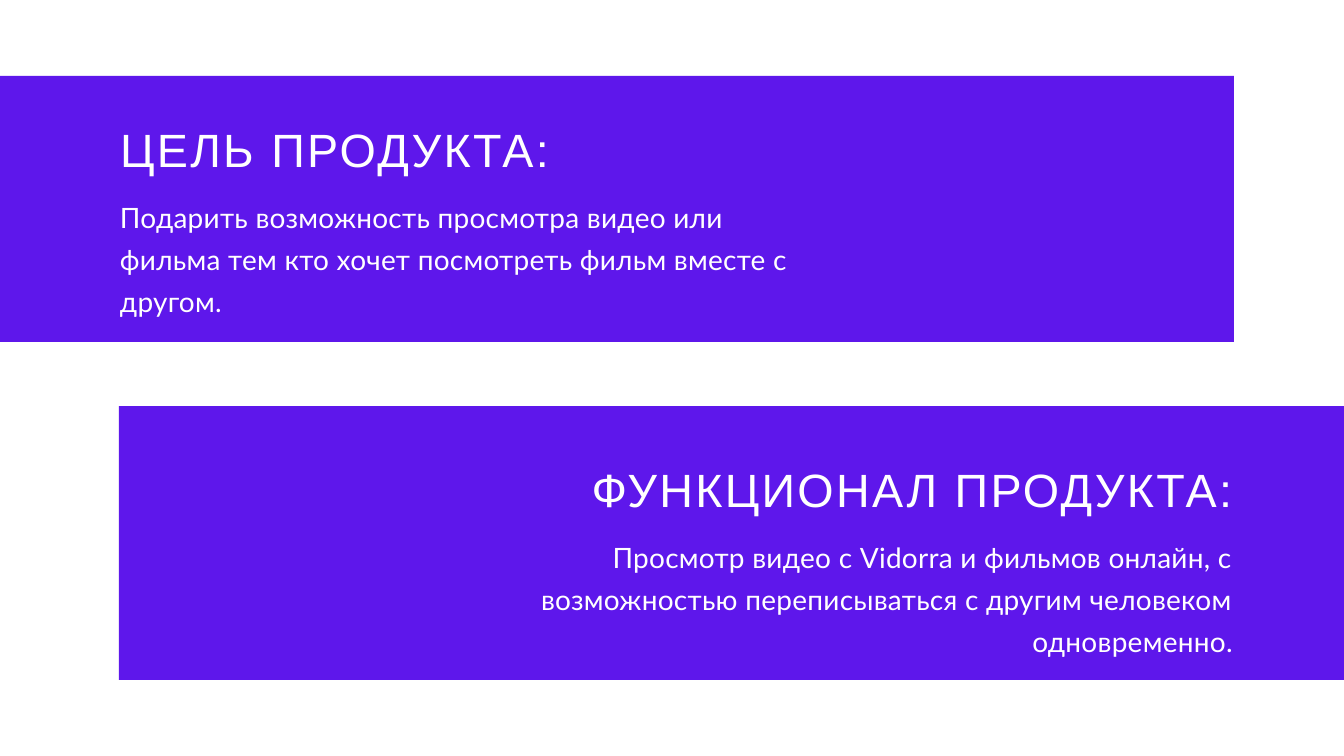
from pptx import Presentation
from pptx.dml.color import RGBColor
from pptx.enum.shapes import MSO_SHAPE as Shape
from pptx.enum.text import MSO_ANCHOR as Anchor, MSO_AUTO_SIZE as AutoSize, PP_ALIGN as Align
from pptx.util import Emu, Pt

SCALE = 914400 / 67.2
COLORS = {"page": "FFFFFF", "band": "5E17EB", "text": "FFFFFF"}
HEADING = {"font": "Arial", "size": 50, "line": 70, "tracking": 250}
BODY = {"font": "Lato", "size": 30, "line": 45, "tracking": 30}
BODY_DROP = 80  # from the top of a heading to the top of its text


def px(*lengths):
    return [Emu(round(length * SCALE)) for length in lengths]


def write(box, place, text, style, align):
    box.left, box.top, box.width, box.height = px(*place)
    frame = box.text_frame
    frame.text = text
    frame.word_wrap = True
    frame.auto_size = AutoSize.NONE
    frame.vertical_anchor = Anchor.TOP
    frame.margin_left = frame.margin_top = frame.margin_right = frame.margin_bottom = 0
    para = frame.paragraphs[0]
    para.alignment = align
    para.line_spacing = Pt(style["line"])
    span = para.runs[0]
    span.font.name = style["font"]
    span.font.size = Pt(style["size"])
    span.font.color.rgb = RGBColor.from_string(COLORS["text"])
    span._r.get_or_add_rPr().set("spc", str(style["tracking"]))


deck = Presentation()
deck.slide_width, deck.slide_height = px(1344, 756)
page = deck.slides.add_slide(deck.slide_layouts[5])
page.background.fill.solid()
page.background.fill.fore_color.rgb = RGBColor.from_string(COLORS["page"])

# Purple bands, each running off one side of the page
for place in [(-36, 76, 1270, 266), (119, 406, 1294, 274)]:
    band = page.shapes.add_shape(Shape.RECTANGLE, *px(*place))
    band.shadow.inherit = False
    band.fill.solid()
    band.fill.fore_color.rgb = RGBColor.from_string(COLORS["band"])
    band.line.fill.background()

# The title goes in front of the bands
title = page.shapes.title
title.element.getparent().append(title.element)

# Heading and text of each section
sections = [
    (title, 120, 112, 703, Align.LEFT, "ЦЕЛЬ ПРОДУКТА:",
     "Подарить возможность просмотра видео или фильма тем кто хочет "
     "посмотреть фильм вместе с другом."),
    (page.shapes.add_textbox(0, 0, 0, 0), 496, 452, 737, Align.RIGHT, "ФУНКЦИОНАЛ ПРОДУКТА:",
     "Просмотр видео с Vidorra и фильмов онлайн, с возможностью "
     "переписываться с другим человеком одновременно."),
]
for heading, left, top, width, align, name, text in sections:
    write(heading, (left, top, width, 62), name, HEADING, align)
    body = page.shapes.add_textbox(0, 0, 0, 0)
    write(body, (left, top + BODY_DROP, width, 124), text, BODY, align)

deck.save("out.pptx")
